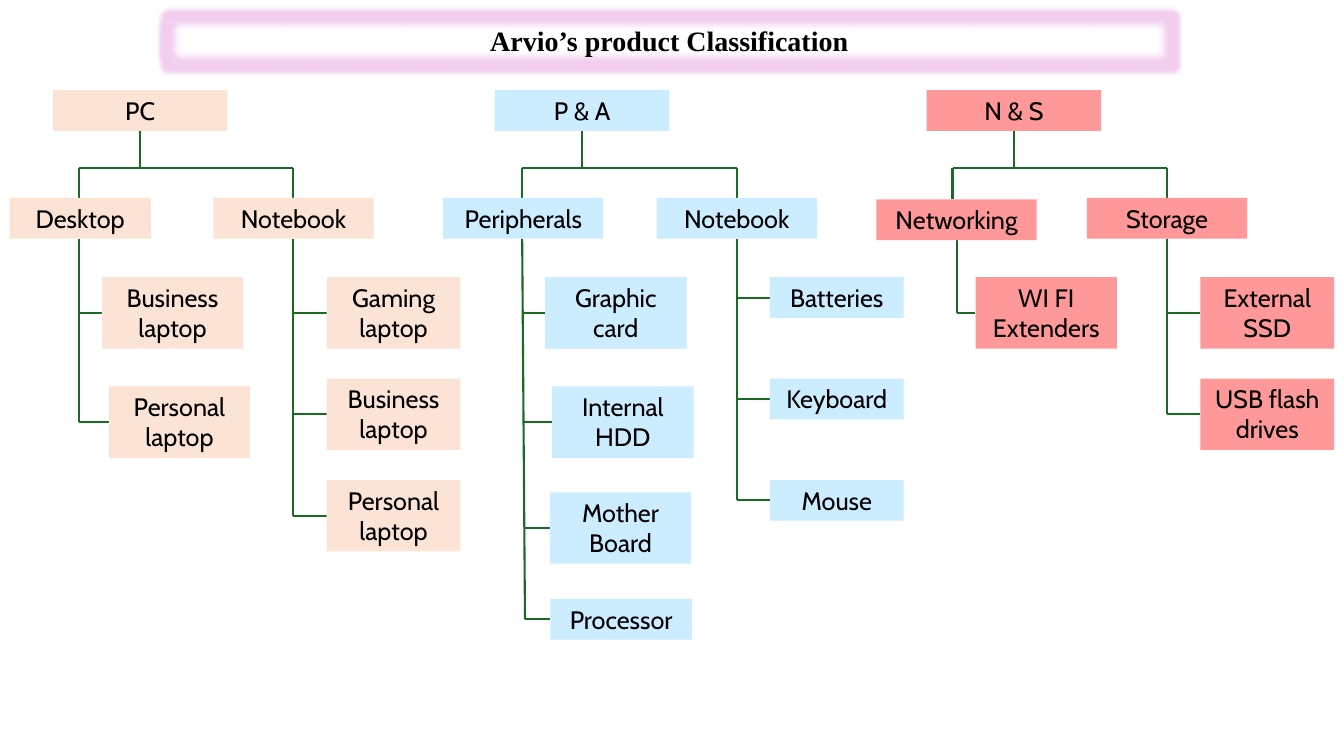
from dataclasses import dataclass

from lxml import etree
from pptx import Presentation
from pptx.dml.color import RGBColor
from pptx.enum import shapes, text
from pptx.oxml import ns
from pptx.util import Pt

PEACH = RGBColor(0xFB, 0xE3, 0xD6)
SKY = RGBColor(0xCC, 0xEC, 0xFF)
CORAL = RGBColor(0xFF, 0x99, 0x99)
GREEN = RGBColor(0x19, 0x6B, 0x24)
PINK = RGBColor(0xF2, 0xCE, 0xEF)
WHITE = RGBColor(0xFF, 0xFF, 0xFF)
BLACK = RGBColor(0, 0, 0)

LABEL_FONT = {"name": "Cabin", "size": Pt(18), "bold": False}
TITLE_FONT = {"name": "Times New Roman", "size": Pt(20), "bold": True}
FRAME_FORMAT = {
    "word_wrap": True,
    "auto_size": text.MSO_AUTO_SIZE.SHAPE_TO_FIT_TEXT,
    "vertical_anchor": text.MSO_ANCHOR.TOP,
}

HEAD_TOP, HEAD_WIDTH = 64.4, 124.8
BUS_Y = 120
LEAF_TOP, LEAF_STEP = 198, 72.4
ONE_LINE, TWO_LINES = 29.1, 51
WIDE, NARROW = 101, 95.6
BRANCH_WIDTH = 114.5


@dataclass
class Leaf:
    label: str
    left: float
    top: float
    width: float
    height: float = TWO_LINES


@dataclass
class Branch:
    label: str
    left: float
    drop: float
    neck: float
    foot: float
    leaves: list
    top: float = 141.4
    width: float = BRANCH_WIDTH


@dataclass
class Family:
    label: str
    left: float
    colour: RGBColor
    branches: list


def even_leaves(labels, left, width, height=TWO_LINES):
    return [Leaf(label, left, LEAF_TOP + row * LEAF_STEP, width, height)
            for row, label in enumerate(labels)]


FAMILIES = [
    Family("PC", 37.7, PEACH, [
        Branch("Desktop", 6.8, 56.3, 56.3, 56.3, [
            Leaf("Business\nlaptop", 72.7, LEAF_TOP, WIDE),
            Leaf("Personal\nlaptop", 77.7, 276, WIDE),
        ], width=WIDE),
        Branch("Notebook", 152.4, 209.3, 209.3, 209.3, even_leaves(
            ["Gaming\nlaptop", "Business\nlaptop", "Personal\nlaptop"], 233.3, NARROW)),
    ]),
    Family("P & A", 353.4, SKY, [
        Branch("Peripherals", 316.6, 373, 373, 375, [
            Leaf("Graphic card", 389.4, LEAF_TOP, WIDE),
            Leaf("Internal HDD", 394.4, 276, WIDE),
            Leaf("Mother Board", 392.7, 351.7, WIDE),
            Leaf("Processor", 393.2, 427.8, WIDE, ONE_LINE),
        ]),
        Branch("Notebook", 469, 526.4, 526.4, 526.4, even_leaves(
            ["Batteries", "Keyboard", "Mouse"], 549.9, NARROW, ONE_LINE)),
    ]),
    Family("N & S", 661.8, CORAL, [
        Branch("Networking", 626, 680.4, 683.3, 683.3,
               even_leaves(["WI FI\nExtenders"], 696.8, WIDE), top=142.5),
        Branch("Storage", 776.4, 833.7, 833.7, 833.7, even_leaves(
            ["External\nSSD", "USB flash\ndrives"], 857.4, NARROW)),
    ]),
]


def apply_format(target, values):
    for name, value in values.items():
        setattr(target, name, value)


def add_box(page, label, bounds, colour, font=LABEL_FONT):
    box = page.shapes.add_shape(shapes.MSO_SHAPE.RECTANGLE, *map(Pt, bounds))
    box.shadow.inherit = False
    box.fill.solid()
    box.fill.fore_color.rgb = colour
    box.line.fill.background()
    apply_format(box.text_frame, FRAME_FORMAT)
    box.text_frame.text = label
    for para in box.text_frame.paragraphs:
        para.alignment = text.PP_ALIGN.CENTER
        for span in para.runs:
            apply_format(span.font, font)
            span.font.color.rgb = BLACK
    return box


def add_line(page, *ends):
    line = page.shapes.add_connector(shapes.MSO_CONNECTOR.STRAIGHT, *map(Pt, ends))
    line.line.color.rgb = GREEN
    line.line.width = Pt(1.5)
    etree.SubElement(line._element.spPr, ns.qn("a:effectLst"))


def add_title(page, label):
    box = add_box(page, label, (121, 13.2, 714.4, 31.5), WHITE, TITLE_FONT)
    effects = box._element.spPr.find(ns.qn("a:effectLst"))
    glow = etree.SubElement(effects, ns.qn("a:glow"), rad=str(Pt(5)))
    etree.SubElement(glow, ns.qn("a:srgbClr"), val=str(PINK))
    etree.SubElement(effects, ns.qn("a:softEdge"), rad=str(Pt(5)))


def add_branch(page, branch, colour):
    add_line(page, branch.drop, BUS_Y, branch.drop, branch.top)
    start = branch.top + ONE_LINE
    end = branch.leaves[-1].top + branch.leaves[-1].height / 2
    add_line(page, branch.neck, start, branch.foot, end)
    for leaf in branch.leaves:
        middle = leaf.top + leaf.height / 2
        share = (middle - start) / (end - start)
        trunk = branch.neck + (branch.foot - branch.neck) * share
        add_line(page, leaf.left, middle, trunk, middle)
        add_box(page, leaf.label, (leaf.left, leaf.top, leaf.width, leaf.height), colour)
    add_box(page, branch.label, (branch.left, branch.top, branch.width, ONE_LINE), colour)


def add_family(page, family):
    centre = family.left + HEAD_WIDTH / 2
    add_box(page, family.label, (family.left, HEAD_TOP, HEAD_WIDTH, ONE_LINE), family.colour)
    add_line(page, centre, HEAD_TOP + ONE_LINE, centre, BUS_Y)
    add_line(page, family.branches[0].drop, BUS_Y, family.branches[-1].drop, BUS_Y)
    for branch in family.branches:
        add_branch(page, branch, family.colour)


def main():
    deck = Presentation()
    apply_format(deck, {"slide_width": Pt(960), "slide_height": Pt(540)})
    page = deck.slides.add_slide(deck.slide_layouts[6])
    for family in FAMILIES:
        add_family(page, family)
    add_title(page, "Arvio’s product Classification")
    deck.save("out.pptx")


if __name__ == "__main__":
    main()
